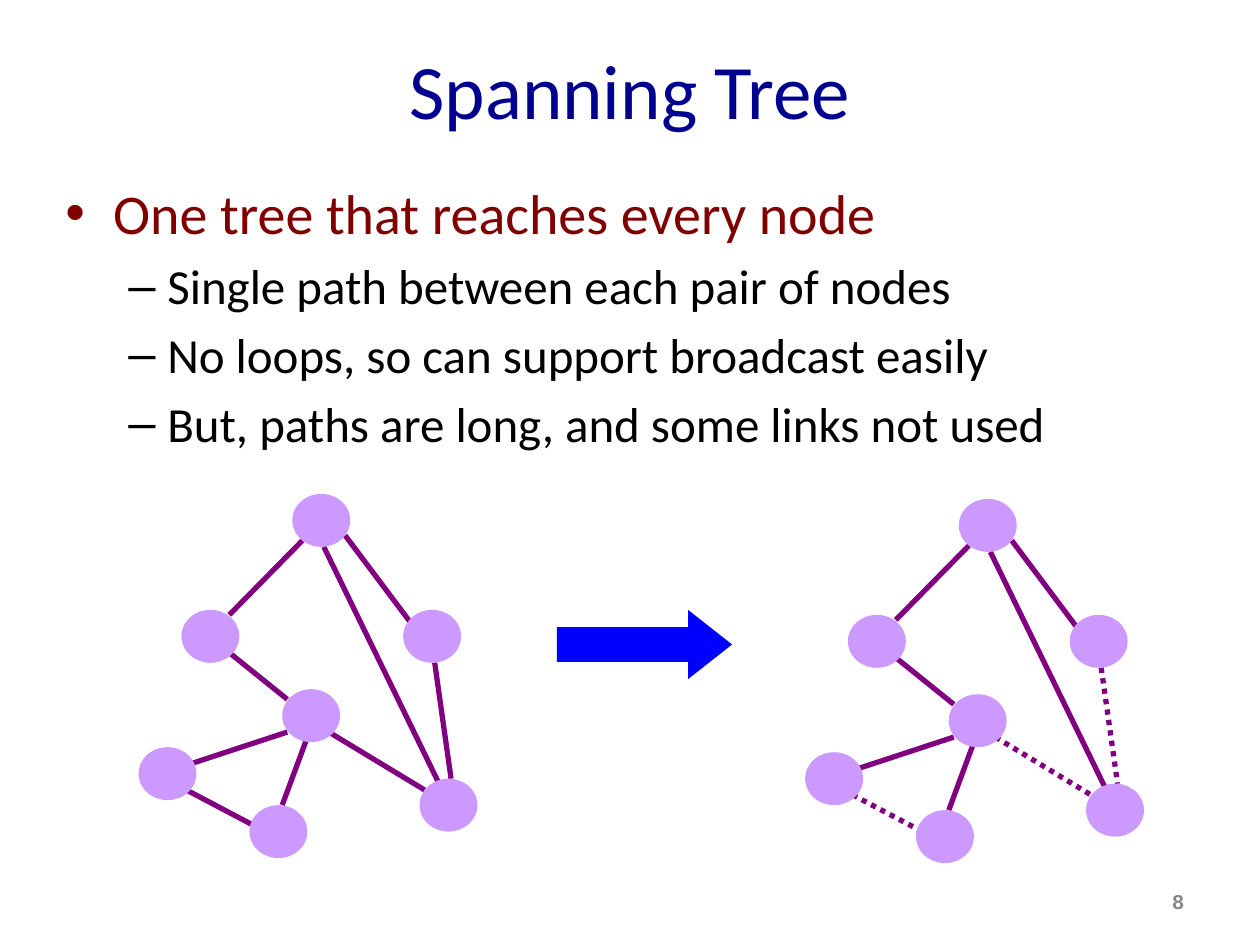
import pptx
import pptx.util
import pptx.dml.color
import pptx.enum.dml
import pptx.enum.shapes
import pptx.enum.text
import pptx.oxml.ns
import lxml.etree

Inches = pptx.util.Inches
Pt = pptx.util.Pt
RGBColor = pptx.dml.color.RGBColor
qn = pptx.oxml.ns.qn
SHAPE = pptx.enum.shapes.MSO_SHAPE
ALIGN = pptx.enum.text.PP_ALIGN
MIDDLE = pptx.enum.text.MSO_ANCHOR.MIDDLE

NAVY = RGBColor(0x00, 0x00, 0x90)
MAROON = RGBColor(0x80, 0x00, 0x00)
BLACK = RGBColor(0x00, 0x00, 0x00)
PURPLE = RGBColor(0x80, 0x00, 0x80)
LILAC = RGBColor(0xCC, 0x99, 0xFF)
BLUE = RGBColor(0x00, 0x00, 0xFF)
GRAY = RGBColor(0x89, 0x89, 0x89)


def style(para, size, color, face="Calibri"):
    para.font.size = Pt(size)
    para.font.color.rgb = color
    para.font.name = face


def add_solid(kind, left, top, width, height, color):
    shape = slide.shapes.add_shape(
        kind, Inches(left), Inches(top), Inches(width), Inches(height))
    shape.shadow.inherit = False
    shape.fill.solid()
    shape.fill.fore_color.rgb = color
    shape.line.fill.background()
    return shape


deck = pptx.Presentation()
deck.slide_width, deck.slide_height = Inches(10), Inches(7.5)
slide = deck.slides.add_slide(deck.slide_layouts[5])

# Title
title = slide.shapes.title
title.left, title.top = Inches(0.5), Inches(0.08)
title.width, title.height = Inches(9), Inches(1.25)
title.text_frame.text = "Spanning Tree"
title.text_frame.vertical_anchor = MIDDLE
title.text_frame.paragraphs[0].alignment = ALIGN.CENTER
style(title.text_frame.paragraphs[0], 44, NAVY)

# Bullets: size, color, mark, margin and hang for each level
levels = [(32, MAROON, "•", 0.38, 0.38), (28, BLACK, "–", 0.81, 0.31)]
points = [
    (0, "One tree that reaches every node"),
    (1, "Single path between each pair of nodes"),
    (1, "No loops, so can support broadcast easily"),
    (1, "But, paths are long, and some links not used"),
]
body = slide.shapes.add_textbox(
    Inches(0.42), Inches(1.37), Inches(9.33), Inches(5.33)).text_frame
body.word_wrap = True
for i, (level, text) in enumerate(points):
    size, color, mark, margin, hang = levels[level]
    para = body.paragraphs[0] if i == 0 else body.add_paragraph()
    para.text = text
    para.level = level
    if i > 0:
        para.space_before = Pt(0.2 * size)
    props = para._p.get_or_add_pPr()
    props.set("marL", str(Inches(margin)))
    props.set("indent", str(-Inches(hang)))
    font = lxml.etree.SubElement(props, qn("a:buFont"))
    font.set("typeface", "Arial")
    lxml.etree.SubElement(props, qn("a:buChar")).set("char", mark)
    style(para, size, color)

# Graphs: full on the left, spanning tree on the right
nodes = [(2.32, 3.92), (1.44, 4.84), (3.2, 4.84), (2.24, 5.47),
         (3.33, 6.18), (1.1, 5.93), (1.98, 6.39)]
# Ends of each link, and whether the tree keeps it
links = [
    (2.4, 4.29, 1.82, 4.88, True),
    (2.74, 4.25, 3.28, 4.97, True),
    (1.82, 5.18, 2.28, 5.55, True),
    (2.61, 5.81, 3.37, 6.27, False),
    (3.45, 5.26, 3.58, 6.18, False),
    (2.57, 4.34, 3.49, 6.23, True),
    (1.52, 6.06, 2.28, 5.81, True),
    (2.24, 6.39, 2.44, 5.85, True),
    (2.03, 6.56, 1.48, 6.27, False),
]
for dx, dy, is_tree in [(0, 0, False), (5.29, 0.04, True)]:
    for x1, y1, x2, y2, kept in links:
        link = slide.shapes.add_connector(
            pptx.enum.shapes.MSO_CONNECTOR.STRAIGHT,
            Inches(x1 + dx), Inches(y1 + dy), Inches(x2 + dx), Inches(y2 + dy))
        link.line.color.rgb = PURPLE
        link.line.width = Pt(3)
        if is_tree and not kept:
            link.line.dash_style = pptx.enum.dml.MSO_LINE.ROUND_DOT
        lxml.etree.SubElement(link._element.spPr, qn("a:effectLst"))
    for x, y in nodes:
        add_solid(SHAPE.OVAL, x + dx, y + dy, 0.46, 0.42, LILAC)

# Arrow between the graphs
arrow = add_solid(SHAPE.RIGHT_ARROW, 4.42, 4.84, 1.39, 0.55, BLUE)
arrow.adjustments[1] = 0.635

# Slide number
number = slide.shapes.add_textbox(
    Inches(7.17), Inches(6.95), Inches(2.33), Inches(0.4)).text_frame
number.word_wrap = True
number.vertical_anchor = MIDDLE
number.text = "8"
number.paragraphs[0].alignment = ALIGN.RIGHT
style(number.paragraphs[0], 12, GRAY, "Courier New")
number.paragraphs[0].font.bold = True

deck.save("out.pptx")
